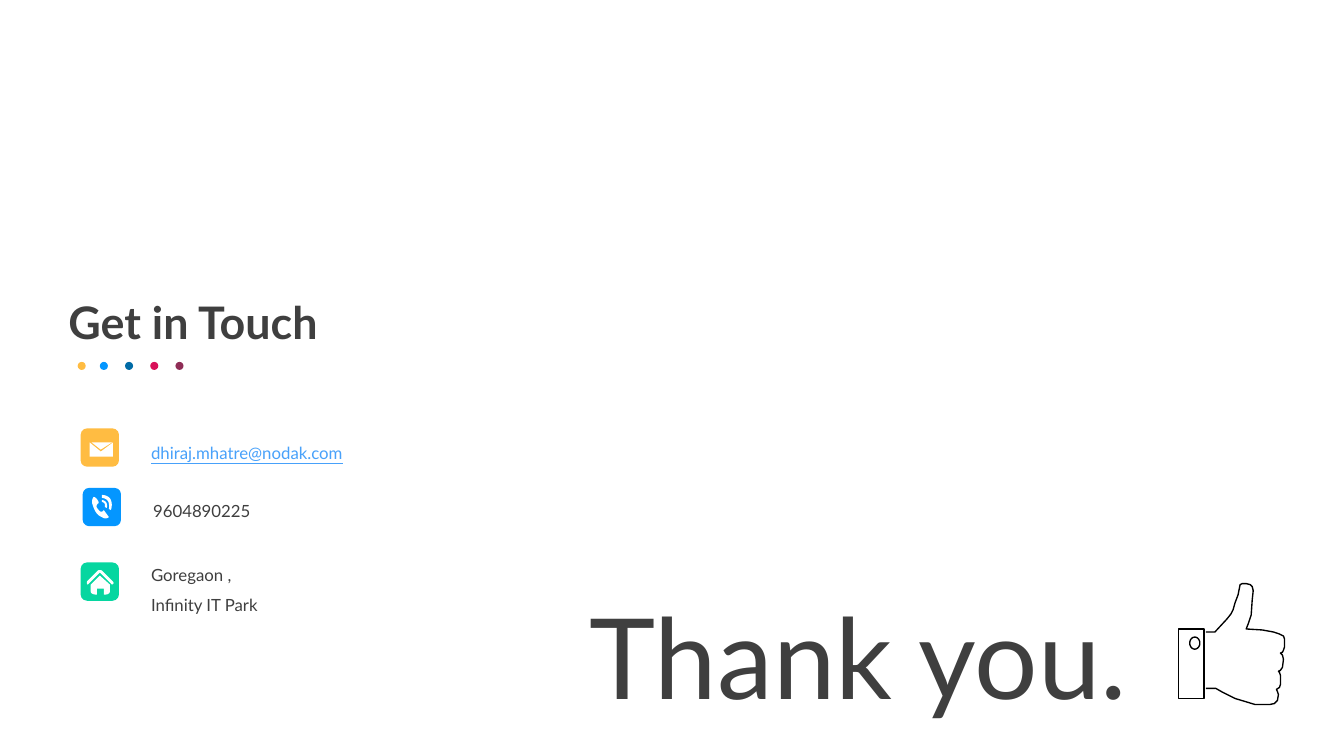
from math import cos, pi, sin

from pptx import Presentation
from pptx.dml.color import RGBColor
from pptx.enum.shapes import MSO_SHAPE
from pptx.enum.text import MSO_ANCHOR, MSO_AUTO_SIZE
from pptx.util import Inches, Pt

FONT = "Lato"
DARK = RGBColor(0x3F, 0x3F, 0x3F)
LINK = RGBColor(0x48, 0xA1, 0xFA)
AMBER = RGBColor(0xFF, 0xBC, 0x42)
AZURE = RGBColor(0x04, 0x96, 0xFF)
GREEN = RGBColor(0x06, 0xD6, 0xA0)
NAVY = RGBColor(0x00, 0x6B, 0xA6)
CRIMSON = RGBColor(0xD8, 0x11, 0x59)
PLUM = RGBColor(0x8F, 0x2D, 0x56)
WHITE = RGBColor(0xFF, 0xFF, 0xFF)
BLACK = RGBColor(0x00, 0x00, 0x00)

TILE = 0.38
DOT = 0.08
CURVE_STEPS = 8

# In every contour a pair is a corner; six numbers are a cubic curve.
ENVELOPE = [
    [(1, 4.48), (0.89, 4.39), (0.89, 4.53), (1.12, 4.53), (1.12, 4.39)],
    [(1.11, 4.39), (0.91, 4.39), (1, 4.46)],
]
HANDSET = [
    [(0.93, 4.93), (0.93, 4.93, 0.9, 4.96, 0.92, 5.01),
     (0.94, 5.07, 0.96, 5.11, 1.01, 5.13), (1.05, 5.16, 1.08, 5.13, 1.08, 5.13),
     (1.03, 5.06), (1.03, 5.06, 1.01, 5.1, 0.98, 5.06),
     (0.95, 5.03, 0.95, 5.01, 0.98, 4.99), (0.98, 4.97, 0.95, 4.93, 0.93, 4.93)],
    [(1.01, 4.96), (1.01, 4.98), (1.01, 4.98, 1.03, 4.98, 1.04, 5),
     (1.04, 5.03), (1.06, 5.04), (1.06, 5.04, 1.07, 5, 1.05, 4.98),
     (1.03, 4.96, 1.01, 4.96, 1.01, 4.96)],
    [(1.01, 4.94), (1.01, 4.91), (1.01, 4.91, 1.08, 4.91, 1.1, 4.96),
     (1.12, 5.01, 1.1, 5.06, 1.1, 5.06), (1.08, 5.05),
     (1.08, 5.05, 1.09, 5, 1.07, 4.97), (1.05, 4.94, 1.01, 4.94, 1.01, 4.94)],
]
HOUSE = [
    [(1.09, 5.8), (0.99, 5.71), (0.9, 5.8), (0.9, 5.87),
     (0.9, 5.9, 0.96, 5.9, 0.96, 5.9), (0.96, 5.84), (1.03, 5.84),
     (1.03, 5.9), (1.09, 5.9, 1.09, 5.87, 1.09, 5.87)],
    [(1.12, 5.77), (1.01, 5.66), (1.01, 5.66, 0.99, 5.65, 0.97, 5.66),
     (0.87, 5.76), (0.87, 5.76, 0.85, 5.78, 0.87, 5.8), (0.99, 5.68),
     (1.11, 5.8), (1.11, 5.8, 1.14, 5.79, 1.12, 5.77)],
]
CUFF = [(11.69, 6.24), (11.69, 6.93), (11.94, 6.93), (11.94, 6.24)]
HAND = [
    (11.96, 6.83), (12.06, 6.83), (12.13, 6.87), (12.25, 6.93), (12.35, 6.96),
    (12.45, 6.99), (12.51, 6.99), (12.59, 6.99), (12.64, 6.98), (12.67, 6.95),
    (12.68, 6.89), (12.67, 6.86), (12.66, 6.84), (12.69, 6.82), (12.7, 6.79),
    (12.7, 6.7), (12.69, 6.67), (12.68, 6.66), (12.7, 6.65), (12.72, 6.62),
    (12.73, 6.54), (12.72, 6.5), (12.7, 6.48), (12.72, 6.47), (12.73, 6.45),
    (12.74, 6.42), (12.74, 6.34), (12.73, 6.31), (12.69, 6.29), (12.63, 6.27),
    (12.52, 6.25), (12.36, 6.24), (12.38, 6.19), (12.41, 6.1), (12.42, 5.95),
    (12.43, 5.86), (12.42, 5.82), (12.4, 5.8), (12.36, 5.79), (12.32, 5.79),
    (12.3, 5.8), (12.28, 5.9), (12.25, 5.98), (12.23, 6.05), (12.21, 6.09),
    (12.17, 6.14), (12.05, 6.27), (11.96, 6.27),
]


def ellipse_points(center_x, center_y, radius_x, radius_y, count=24):
    """Return evenly spaced points around an ellipse."""
    angles = [2 * pi * step / count for step in range(count)]
    return [(center_x + radius_x * cos(a), center_y + radius_y * sin(a)) for a in angles]


def flatten(contour):
    """Turn corners and cubic curves into a list of EMU points."""
    points = [contour[0]]
    for part in contour[1:]:
        if len(part) == 2:
            points.append(part)
            continue
        knots = (points[-1], part[:2], part[2:4], part[4:])
        for step in range(1, CURVE_STEPS + 1):
            t = step / CURVE_STEPS
            weights = ((1 - t) ** 3, 3 * t * (1 - t) ** 2, 3 * t * t * (1 - t), t ** 3)
            points.append(tuple(sum(w * knot[axis] for w, knot in zip(weights, knots))
                                for axis in (0, 1)))
    return [(Inches(x), Inches(y)) for x, y in points]


class SlideArtist:
    """Draws elements in one style on one slide."""

    def __init__(self, slide):
        """Keep the slide to draw on."""
        self.shapes = slide.shapes

    def text(self, left, top, width, height, lines, size=12, color=DARK,
             bold=False, underline=False, spacing=1.0):
        """Add a text box with one paragraph per line and return its frame."""
        frame = self.shapes.add_textbox(
            Inches(left), Inches(top), Inches(width), Inches(height)).text_frame
        frame.word_wrap = True
        frame.auto_size = MSO_AUTO_SIZE.SHAPE_TO_FIT_TEXT
        frame.text = "\n".join(lines)
        for paragraph in frame.paragraphs:
            paragraph.line_spacing = spacing
            font = paragraph.font
            font.name, font.size, font.bold = FONT, Pt(size), bold
            font.underline = underline
            font.color.rgb = color
        return frame

    def paint(self, shape, fill=None, line=None):
        """Set fill and line of a shape and drop its shadow."""
        shape.shadow.inherit = False
        if fill is None:
            shape.fill.background()
        else:
            shape.fill.solid()
            shape.fill.fore_color.rgb = fill
        if line is None:
            shape.line.fill.background()
        else:
            shape.line.color.rgb = line
            shape.line.width = Pt(0.96)

    def preset(self, kind, left, top, size, fill):
        """Add a filled preset shape of equal width and height."""
        shape = self.shapes.add_shape(
            kind, Inches(left), Inches(top), Inches(size), Inches(size))
        self.paint(shape, fill)

    def outline(self, contours, fill=None, line=None, close=True):
        """Add one freeform made of the given contours."""
        first, *others = [flatten(contour) for contour in contours]
        builder = self.shapes.build_freeform(*first[0], scale=1.0)
        builder.add_line_segments(first[1:], close=close)
        for points in others:
            builder.move_to(*points[0])
            builder.add_line_segments(points[1:], close=close)
        self.paint(builder.convert_to_shape(), fill, line)

    def icon(self, left, top, color, glyph):
        """Add a rounded tile with a white glyph."""
        self.preset(MSO_SHAPE.ROUNDED_RECTANGLE, left, top, TILE, color)
        for contour in glyph:
            self.outline([contour], fill=WHITE)


def build():
    """Build the closing slide and save it."""
    deck = Presentation()
    deck.slide_width, deck.slide_height = Inches(13.33), Inches(7.5)
    artist = SlideArtist(deck.slides.add_slide(deck.slide_layouts[6]))

    artist.text(0.58, 2.87, 3.37, 0.64, ["Get in Touch"], size=32, bold=True)
    dots = zip((0.77, 0.99, 1.24, 1.49, 1.74), (AMBER, AZURE, NAVY, CRIMSON, PLUM))
    for left, color in dots:
        artist.preset(MSO_SHAPE.OVAL, left, 3.59, DOT, color)

    artist.icon(0.8, 4.25, AMBER, ENVELOPE)
    artist.icon(0.82, 4.84, AZURE, HANDSET)
    artist.icon(0.8, 5.58, GREEN, HOUSE)
    artist.text(1.4, 4.24, 2.32, 0.37, ["dhiraj.mhatre@nodak.com"],
                color=LINK, underline=True, spacing=1.5)
    artist.text(1.42, 4.82, 2.15, 0.37, ["9604890225"], spacing=1.5)
    artist.text(1.4, 5.45, 3.06, 0.71, ["Goregaon ,", "Infinity IT Park"], spacing=1.5)

    thanks = artist.text(5.75, 5.51, 6.46, 1.77, ["Thank you."], size=80, spacing=0.9)
    thanks.auto_size = MSO_AUTO_SIZE.NONE
    thanks.vertical_anchor = MSO_ANCHOR.BOTTOM
    thanks.margin_top = thanks.margin_bottom = Inches(0.1)

    button = ellipse_points(11.85, 6.38, 0.05, 0.06)
    artist.outline([CUFF, button], line=BLACK)
    artist.outline([HAND], line=BLACK, close=False)
    deck.save("out.pptx")


build()
